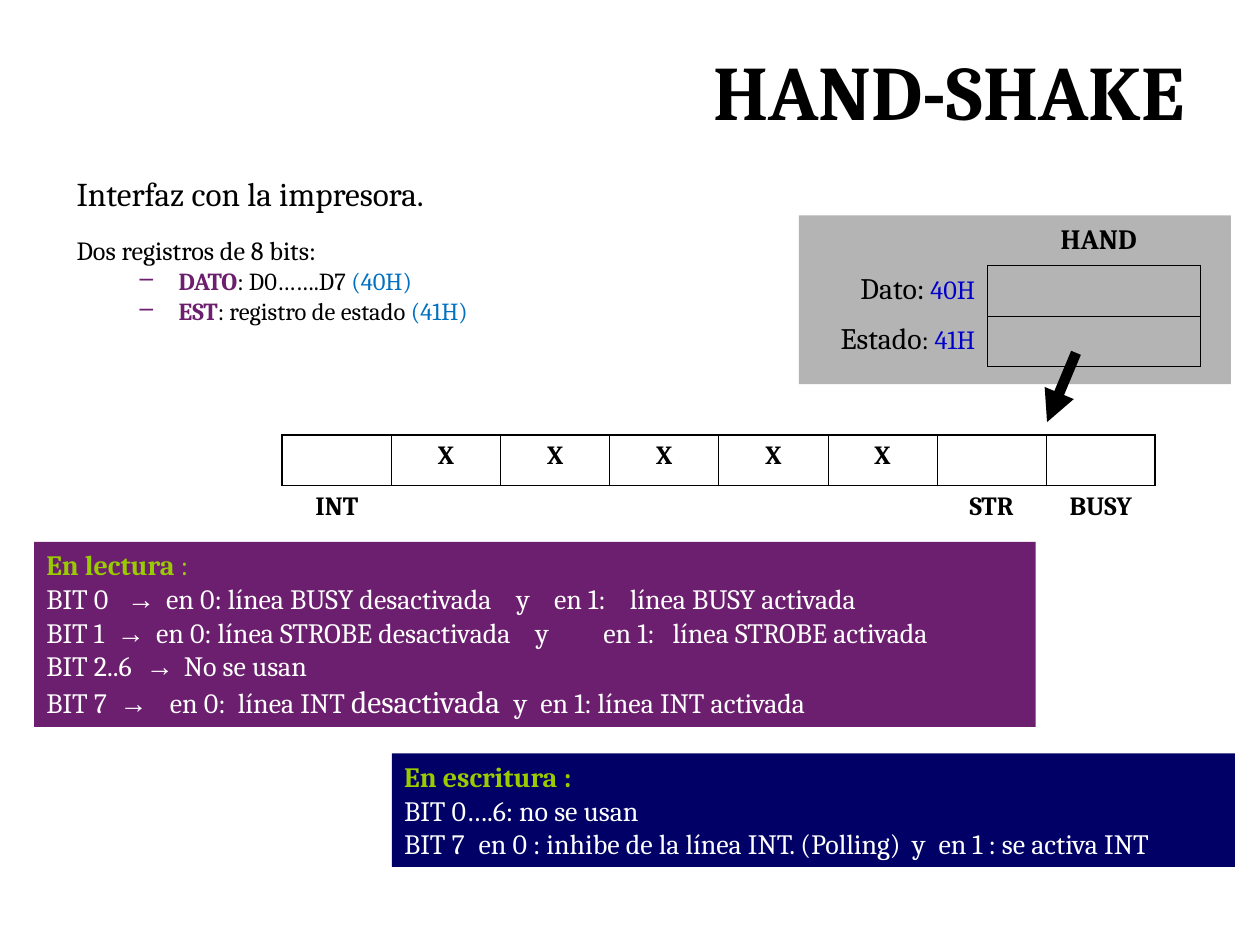
from dataclasses import dataclass
from lxml import etree
from pptx import Presentation
from pptx.dml.color import RGBColor
from pptx.enum.shapes import MSO_CONNECTOR, MSO_SHAPE
from pptx.enum.text import MSO_ANCHOR, PP_ALIGN
from pptx.oxml.ns import qn
from pptx.util import Inches, Pt

W, H = Inches(10), Inches(7.5)
COL, ROW = W / 100, H / 75  # the slide is a grid of 100 columns by 75 rows
NO_GRID = "{2D5ABB26-0587-4C30-8999-92F81FD0307C}"


@dataclass(frozen=True)
class Theme:
    font: str = "Cambria"
    arrow_font: str = "Arial"
    black: str = "000000"
    white: str = "FFFFFF"
    purple: str = "6D1F6F"
    navy: str = "000066"
    grey: str = "B4B4B4"
    green: str = "99CC00"
    sky: str = "0070C0"
    blue: str = "0000CC"
    title: int = 44
    lead: int = 19
    large: int = 18
    label: int = 17
    note: int = 16
    text: int = 15
    item: int = 14
    thin: float = 0.45
    thick: float = 1.08


T = Theme()


def grid(x, y, w, h):
    return [round(v) for v in (x * COL, y * ROW, w * COL, h * ROW)]


def sub(parent, tag, **attrs):
    return etree.SubElement(parent, qn(tag), attrs)


def style(font, size=None, color=None, bold=None, name=None):
    if size:
        font.size = Pt(size)
    if color:
        font.color.rgb = RGBColor.from_string(color)
    if bold is not None:
        font.bold = bold
    if name:
        font.name = name


def write(p, runs, size, color=T.black, bold=None, align=None):
    """Fill a paragraph; a run is a string or (string, font changes)."""
    style(p.font, size, color, bold, T.font)
    if align is not None:
        p.alignment = align
    for run in runs:
        text, changes = (run, {}) if isinstance(run, str) else run
        r = p.add_run()
        r.text = text
        style(r.font, **changes)


def paragraphs(tf):
    """Yield the first paragraph, then new ones."""
    yield tf.paragraphs[0]
    while True:
        yield tf.add_paragraph()


def add_text(s, box, wrap=True):
    tf = s.shapes.add_textbox(*grid(*box)).text_frame
    tf.word_wrap = wrap
    return tf


def add_panel(s, box, color):
    sp = s.shapes.add_shape(MSO_SHAPE.RECTANGLE, *grid(*box))
    sp.shadow.inherit = False
    sp.fill.solid()
    sp.fill.fore_color.rgb = RGBColor.from_string(color)
    sp.line.fill.background()
    return sp


def add_note(s, box, color, heading, lines):
    """Coloured panel with a heading and lines of (tab columns, runs)."""
    tf = add_panel(s, box, color).text_frame
    tf.word_wrap = True
    tf.vertical_anchor = MSO_ANCHOR.TOP
    ps = paragraphs(tf)
    write(next(ps), heading, T.note, T.green, align=PP_ALIGN.LEFT)
    for (stops, runs), p in zip(lines, ps):
        tabs = sub(p._p.get_or_add_pPr(), "a:tabLst")
        for stop in stops:
            sub(tabs, "a:tab", pos=str(round(stop * COL)), algn="l")
        write(p, runs, T.note, T.white, align=PP_ALIGN.LEFT)


def add_grid_table(s, box, widths, rows, align, bold=None):
    """Unstyled table; rows hold one list of runs per cell."""
    table = s.shapes.add_table(len(rows), len(widths), *grid(*box)).table
    table._tbl.tblPr.find(qn("a:tableStyleId")).text = NO_GRID
    table.first_row = table.horz_banding = False
    for column, width in zip(table.columns, widths):
        column.width = round(width * COL)
    for i, row in enumerate(rows):
        for j, runs in enumerate(row):
            write(table.cell(i, j).text_frame.paragraphs[0], runs, T.text, bold=bold, align=align)
    return table


def border(cell, **widths):
    tc_pr = cell._tc.get_or_add_tcPr()
    for side in "LRTB":
        ln = sub(tc_pr, f"a:ln{side}", w=str(Pt(widths.get(side, T.thin))))
        sub(sub(ln, "a:solidFill"), "a:srgbClr", val=T.black)


def clear_fill(table):
    for cell in table.iter_cells():
        cell.fill.background()


def add_arrow(s, x1, y1, x2, y2, width):
    x1, y1, x2, y2 = grid(x1, y1, x2, y2)
    line = s.shapes.add_connector(MSO_CONNECTOR.STRAIGHT, x1, y1, x2, y2)
    line.line.color.rgb = RGBColor.from_string(T.black)
    line.line.width = Pt(width)
    sub(line.line._get_or_add_ln(), "a:tailEnd", type="triangle")
    sub(line._element.spPr, "a:effectLst")


def add_intro(s):
    ps = paragraphs(add_text(s, (5.1, 13.9, 54.4, 13.4)))
    for text, size, before in (("Interfaz con la impresora.", T.lead, 0),
                               ("Dos registros de 8 bits:", T.text, 15.8)):
        p = next(ps)
        p.line_spacing, p.space_before = 0.8, Pt(before)
        write(p, [text], size)
    for name, meaning, address in (("DATO", ": D0…….D7 ", "(40H)"),
                                   ("EST", ": registro de estado ", "(41H)")):
        p = next(ps)
        p.level, p.line_spacing, p.space_before = 1, 0.8, Pt(3.5)
        ppr = p._p.get_or_add_pPr()
        ppr.set("marL", str(Inches(0.81)))
        ppr.set("indent", str(Inches(-0.31)))
        sub(sub(ppr, "a:buClr"), "a:srgbClr", val=T.purple)
        sub(ppr, "a:buChar", char="–")
        write(p, [(name, dict(color=T.purple, bold=True)), meaning,
                  (address, dict(color=T.sky))], T.item)


def add_bits(s):
    top = [[]] + [["X"]] * 5 + [[]] * 2
    bottom = [["INT"]] + [[]] * 5 + [["STR"], ["BUSY"]]
    table = add_grid_table(s, (22.4, 34.5, 69.3, 8), [69.3 / 8] * 8, [top, bottom],
                           PP_ALIGN.CENTER, bold=True)
    for j in range(8):
        border(table.cell(0, j), T=T.thick, L=T.thick if j == 0 else T.thin,
               R=T.thick if j == 7 else T.thin)
    clear_fill(table)


def add_registers(s):
    blue = dict(color=T.blue)
    big = dict(size=T.label)
    rows = [[[("Dato:", big), (" 40H", blue)], []],
            [[("Estado", big), ":", (" 41H", blue)], []]]
    table = add_grid_table(s, (64.2, 21.1, 31.1, 8), [14.2, 16.9], rows, PP_ALIGN.RIGHT)
    for i in range(2):
        border(table.cell(i, 1))
    clear_fill(table)


def main():
    prs = Presentation()
    prs.slide_width, prs.slide_height = W, H
    s = prs.slides.add_slide(prs.slide_layouts[6])

    # Title and introduction
    add_panel(s, (63.4, 17.1, 34.3, 13.4), T.grey)
    title = add_text(s, (5, 3, 90, 7.7))
    write(title.paragraphs[0], ["HAND-SHAKE"], T.title, bold=True, align=PP_ALIGN.RIGHT)
    add_intro(s)

    # Bits of the status register
    add_bits(s)

    # Meaning of the bits when reading and writing
    arrow = ("→", dict(name=T.arrow_font))
    add_note(s, (2.7, 43, 79.5, 14.7), T.purple, [("En lectura ", dict(bold=True)), ":"], [
        ((6.4, 9.5, 37.3, 40.3, 46.3),
         ["BIT 0\t", arrow, "\ten 0: línea BUSY desactivada\ty\ten 1:\tlínea BUSY activada"]),
        ((5.6, 8.7, 38.8, 44.2, 49.7),
         ["BIT 1\t", arrow, "\ten 0: línea STROBE desactivada\ty\ten 1:\tlínea STROBE activada"]),
        ((7.9, 10.9), ["BIT 2..6\t", arrow, "\tNo se usan"]),
        ((5.8, 9.8, 15.2, 37.1, 39.2),
         ["BIT 7\t", arrow, "\ten 0:\tlínea INT ", ("desactivada", dict(size=T.large)),
          "\ty\ten 1: línea INT activada"]),
    ])
    add_note(s, (31.1, 59.8, 66.9, 9), T.navy, [("En escritura :", dict(bold=True))], [
        ((), ["BIT 0….6: no se usan"]),
        ((5.9, 40.3, 42.4),
         ["BIT 7\ten 0 : inhibe de la línea INT. (Polling)\ty\ten 1 : se activa INT"]),
    ])

    # Register block and its pointer to the bits
    add_registers(s)
    hand = add_text(s, (83.2, 17.1, 8, 3.7), wrap=False)
    write(hand.paragraphs[0], ["HAND"], T.note, bold=True)
    add_arrow(s, 85.4, 28, 83.1, 33.5, 6)

    prs.save("out.pptx")


if __name__ == "__main__":
    main()
